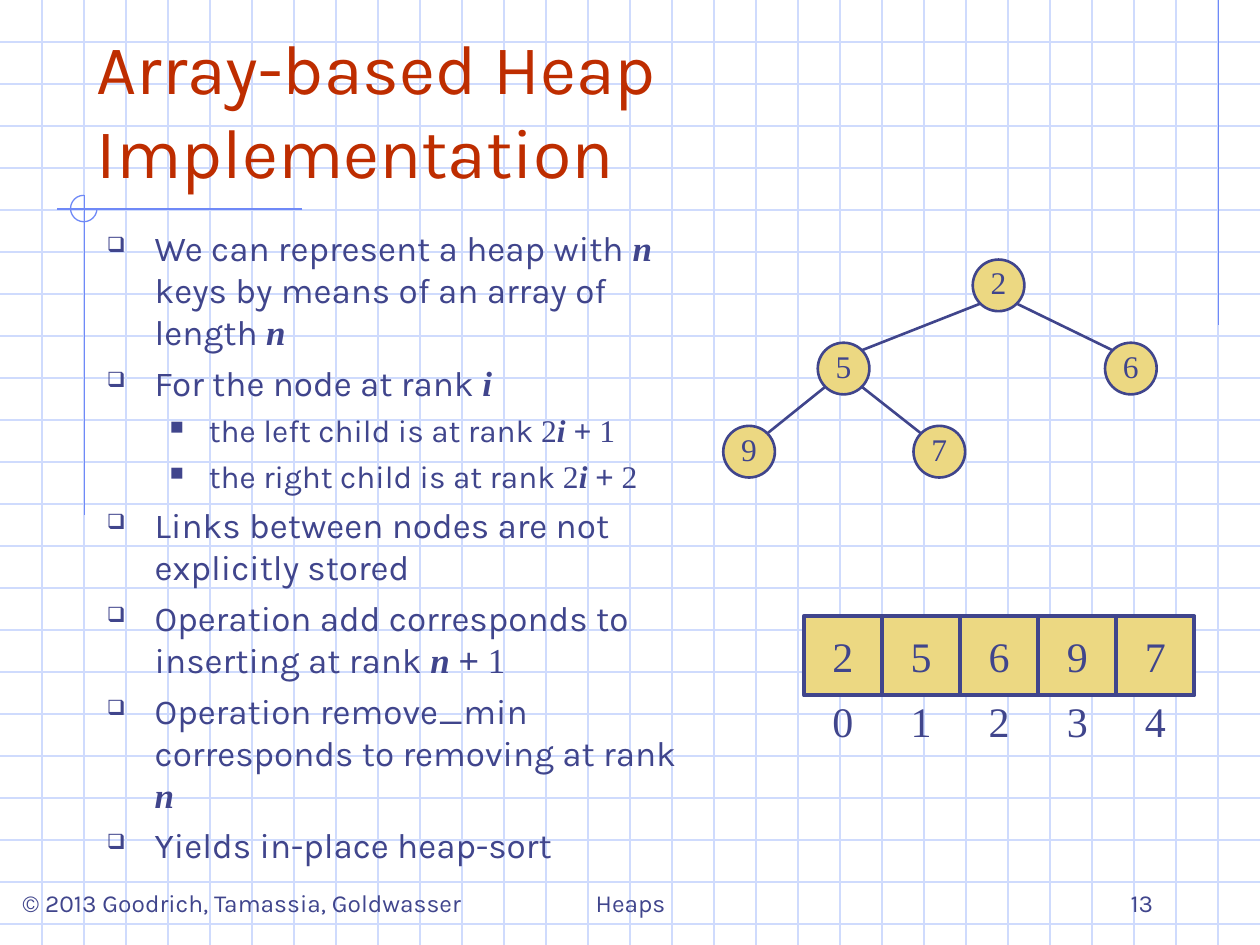
from dataclasses import dataclass

from lxml import etree
from pptx import Presentation, util as u
from pptx.dml.color import RGBColor
from pptx.enum import shapes, text
from pptx.oxml.ns import qn

INK, GOLD, RED = "40458C", "ECD882", "BE2D00"
GRID, ACCENT = "CFDBFD", "6F89F7"
SANS, SERIF, SYMBOL = "Karla", "Times New Roman", "Arial"
LEFT, CENTER, RIGHT = text.PP_ALIGN.LEFT, text.PP_ALIGN.CENTER, text.PP_ALIGN.RIGHT
TOP, MIDDLE, BOTTOM = text.MSO_ANCHOR.TOP, text.MSO_ANCHOR.MIDDLE, text.MSO_ANCHOR.BOTTOM
STANDARD_INSETS = (0.1, 0.05, 0.1, 0.05)
NODE_SIZE, DIAGONAL = 0.41, 0.145
CELL_LEFT, CELL_TOP, CELL_PITCH, CELL_HEIGHT = 6.38, 4.89, 0.62, 0.63


@dataclass
class Node:
    key: str
    x: float
    y: float
    parent: int | None = None


@dataclass
class Phrase:
    words: str
    face: str = SANS
    bold: bool = False
    italic: bool = False


@dataclass
class Bullet:
    phrases: list[Phrase]
    level: int = 0


@dataclass
class BulletStyle:
    symbol: str
    size: float
    margin: float
    hanging: float
    before: float


def variable(words: str) -> Phrase:
    return Phrase(words, SERIF, True, True)


def number(words: str) -> Phrase:
    return Phrase(words, SERIF)


PLUS = Phrase("+", SYMBOL)
BULLET_STYLES = [
    BulletStyle("❑", 20, 0.38, 0.38, 5),
    BulletStyle("■", 18, 0.81, 0.31, 4.5),
]
BULLETS = [
    Bullet([Phrase("We can represent a heap with "), variable("n"),
            Phrase(" keys by means of an array of length "), variable("n")]),
    Bullet([Phrase("For the node at rank "), variable("i")]),
    Bullet([Phrase("the left child is at rank "), number("2"), variable("i "),
            Phrase("+ ", SERIF, True), number("1")], 1),
    Bullet([Phrase("the right child is at rank "), number("2"), variable("i "),
            PLUS, number(" 2")], 1),
    Bullet([Phrase("Links between nodes are not explicitly stored")]),
    Bullet([Phrase("Operation add corresponds to inserting at rank "),
            variable("n "), PLUS, number(" 1")]),
    Bullet([Phrase("Operation remove_min corresponds to removing at rank "), variable("n")]),
    Bullet([Phrase("Yields in-place heap-sort")]),
]
HEAP = [
    Node("2", 7.72, 2.06),
    Node("5", 6.49, 2.72, 0),
    Node("6", 8.77, 2.72, 0),
    Node("9", 5.74, 3.38, 1),
    Node("7", 7.25, 3.38, 1),
]


def color(hex_code: str) -> RGBColor:
    return RGBColor.from_string(hex_code)


def write(paragraph, words: str, *, size: float, face: str = SANS, ink: str = INK,
          bold: bool = False, italic: bool = False, align=LEFT) -> None:
    paragraph.alignment = align
    run = paragraph.add_run()
    run.text = words
    font = run.font
    font.name, font.size, font.bold, font.italic = face, u.Pt(size), bold, italic
    font.color.rgb = color(ink)


def set_frame(frame, *, anchor=TOP, insets=STANDARD_INSETS, wrap: bool = True) -> None:
    frame.word_wrap = wrap
    frame.vertical_anchor = anchor
    (frame.margin_left, frame.margin_top,
     frame.margin_right, frame.margin_bottom) = map(u.Inches, insets)


def add_box(slide, left: float, top: float, width: float, height: float, **frame_format):
    box = slide.shapes.add_textbox(*map(u.Inches, (left, top, width, height)))
    set_frame(box.text_frame, **frame_format)
    return box.text_frame


def add_line(slide, x1: float, y1: float, x2: float, y2: float,
             ink: str, weight: float = 0.75) -> None:
    line = slide.shapes.add_connector(
        shapes.MSO_CONNECTOR.STRAIGHT, *map(u.Inches, (x1, y1, x2, y2)))
    line.line.color.rgb = color(ink)
    line.line.width = u.Pt(weight)
    etree.SubElement(line._element.spPr, qn("a:effectLst"))


def add_key(slide, kind, left: float, top: float, width: float, height: float, key: str,
            *, size: float, weight: float, insets=STANDARD_INSETS) -> None:
    holder = slide.shapes.add_shape(kind, *map(u.Inches, (left, top, width, height)))
    holder.shadow.inherit = False
    holder.fill.solid()
    holder.fill.fore_color.rgb = color(GOLD)
    holder.line.color.rgb = color(INK)
    holder.line.width = u.Pt(weight)
    set_frame(holder.text_frame, anchor=MIDDLE, insets=insets, wrap=False)
    write(holder.text_frame.paragraphs[0], key, size=size, face=SERIF, align=CENTER)


def draw_background(slide) -> None:
    for step in range(1, 23):
        add_line(slide, 0, step / 3, 10, step / 3, GRID)
    for step in range(1, 30):
        add_line(slide, step / 3, 0, step / 3, 7.5, GRID)
    add_line(slide, 9.67, 0, 9.67, 2.58, ACCENT)
    add_line(slide, 2.4, 1.66, 0.45, 1.66, ACCENT)
    add_line(slide, 0.67, 1.55, 0.67, 4.09, ACCENT)
    arc = slide.shapes.add_shape(
        shapes.MSO_SHAPE.ARC, *map(u.Inches, (0.56, 1.55, 0.21, 0.21)))
    arc.adjustments[0], arc.adjustments[1] = 0, 270 * 0.6
    arc.shadow.inherit = False
    arc.fill.background()
    arc.line.color.rgb = color(ACCENT)
    arc.line.width = u.Pt(0.75)


def add_bullet_mark(paragraph, style: BulletStyle) -> None:
    properties = paragraph._p.get_or_add_pPr()
    properties.set("marL", str(u.Inches(style.margin)))
    properties.set("indent", str(-u.Inches(style.hanging)))
    mark_color = etree.SubElement(properties, qn("a:buClr"))
    etree.SubElement(mark_color, qn("a:srgbClr"), val=INK)
    etree.SubElement(properties, qn("a:buSzPct"), val="60000")
    etree.SubElement(properties, qn("a:buChar"), char=style.symbol)


def draw_bullets(slide) -> None:
    frame = add_box(slide, 0.75, 1.75, 4.83, 5.33)
    for index, bullet in enumerate(BULLETS):
        paragraph = frame.add_paragraph() if index else frame.paragraphs[0]
        style = BULLET_STYLES[bullet.level]
        paragraph.level = bullet.level
        add_bullet_mark(paragraph, style)
        if index:
            paragraph.space_before = u.Pt(style.before)
        for phrase in bullet.phrases:
            write(paragraph, phrase.words, size=style.size, face=phrase.face,
                  bold=phrase.bold, italic=phrase.italic)


def draw_heap(slide) -> None:
    radius = NODE_SIZE / 2
    for node in HEAP:
        add_key(slide, shapes.MSO_SHAPE.OVAL, node.x, node.y, NODE_SIZE, NODE_SIZE,
                node.key, size=18, weight=1.5, insets=(0, 0, 0, 0.05))
        if node.parent is not None:
            parent = HEAP[node.parent]
            side = DIAGONAL if node.x > parent.x else -DIAGONAL
            add_line(slide, parent.x + radius + side, parent.y + radius + DIAGONAL,
                     node.x + radius - side, node.y + radius - DIAGONAL, INK, 1.5)


def draw_array(slide) -> None:
    for rank, node in enumerate(HEAP):
        left = CELL_LEFT + rank * CELL_PITCH
        add_key(slide, shapes.MSO_SHAPE.RECTANGLE, left, CELL_TOP, CELL_PITCH, CELL_HEIGHT,
                node.key, size=24, weight=2.25)
        label = add_box(slide, left + 0.16, CELL_TOP + CELL_HEIGHT, 0.3, 0.4,
                        insets=(0, 0, 0, 0))
        write(label.paragraphs[0], str(rank), size=24, face=SERIF, align=CENTER)


def main() -> None:
    deck = Presentation()
    deck.slide_width, deck.slide_height = u.Inches(10), u.Inches(7.5)
    slide = deck.slides.add_slide(deck.slide_layouts[6])
    draw_background(slide)
    title = add_box(slide, 0.67, 0.33, 8.75, 1.25, anchor=BOTTOM)
    write(title.paragraphs[0], "Array-based Heap Implementation", size=40, ink=RED)
    draw_bullets(slide)
    draw_heap(slide)
    draw_array(slide)
    for words, left, width, align in (
        ("© 2013 Goodrich, Tamassia, Goldwasser", 0.08, 4.08, LEFT),
        ("Heaps", 3.42, 3.17, CENTER),
        ("13", 7.17, 2.08, RIGHT),
    ):
        footer = add_box(slide, left, 6.83, width, 0.5, anchor=BOTTOM)
        write(footer.paragraphs[0], words, size=14, align=align)
    deck.save("out.pptx")


if __name__ == "__main__":
    main()
